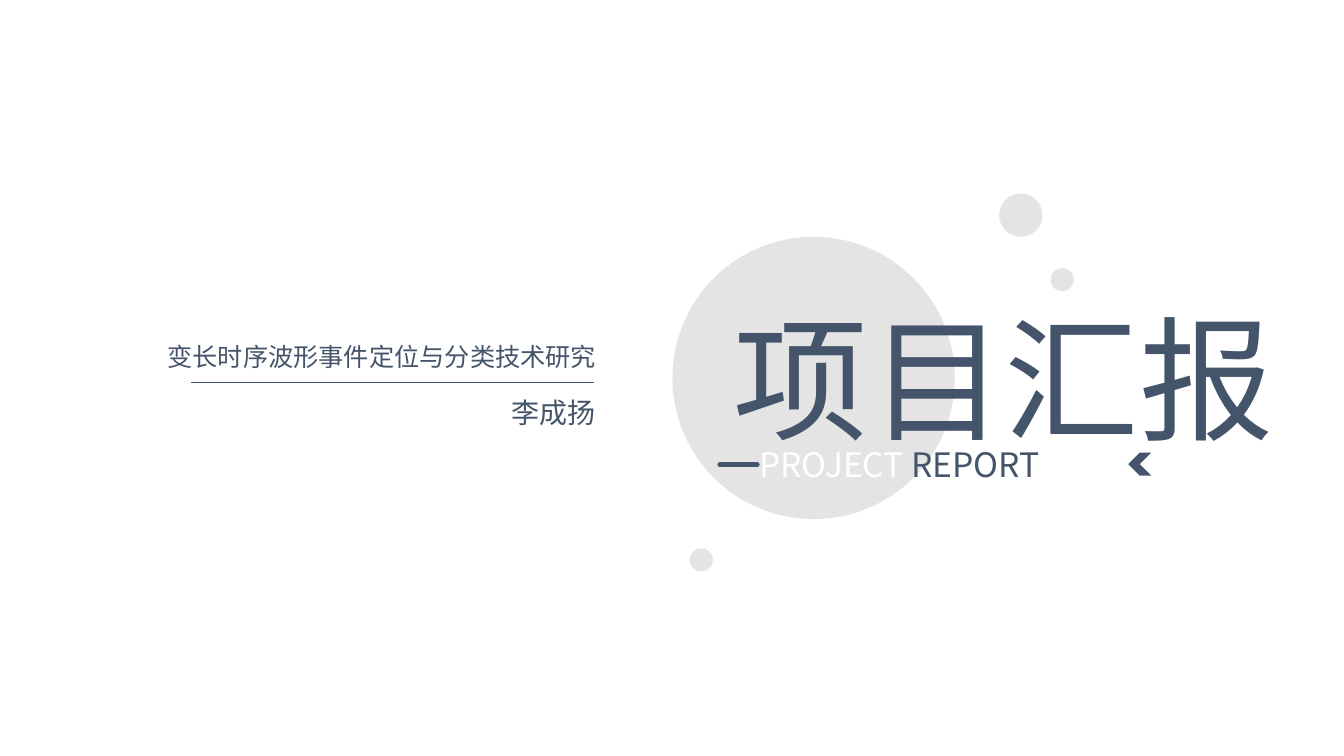
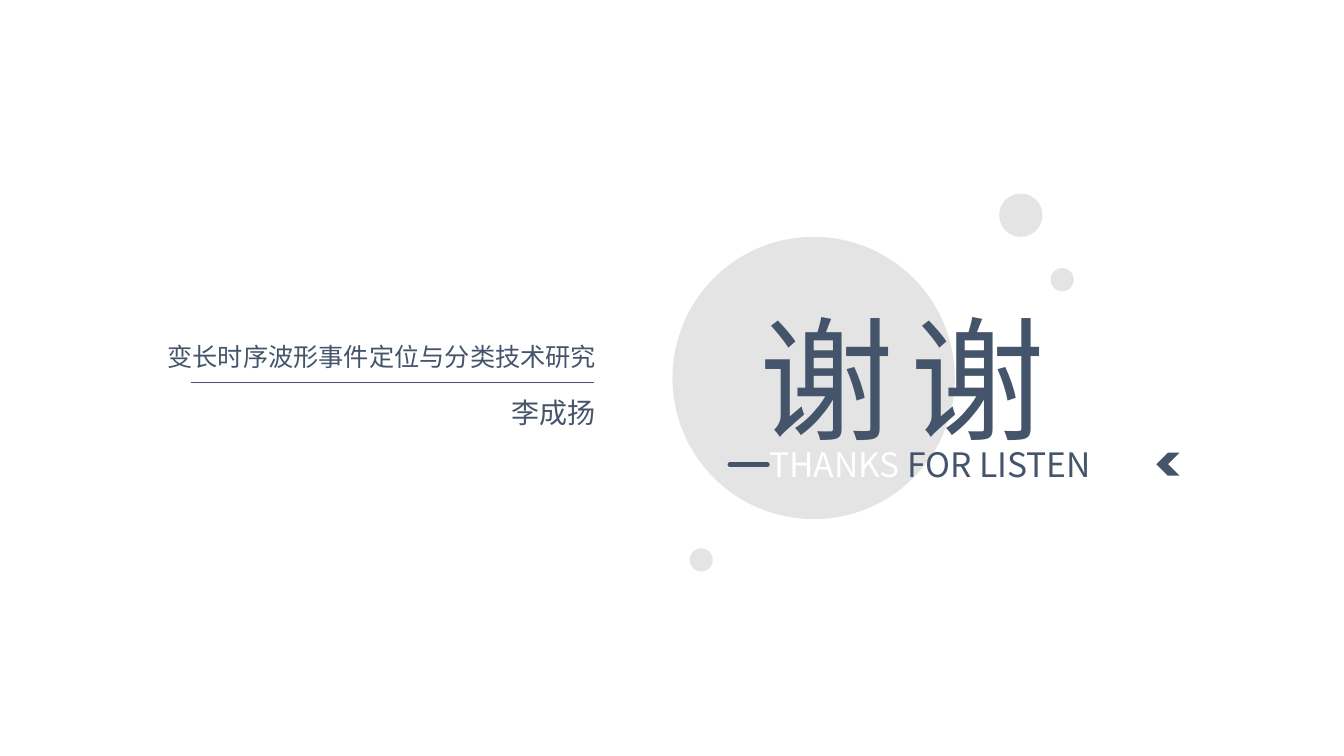
from pptx import Presentation
from pptx.dml.color import RGBColor
from pptx.enum.shapes import MSO_CONNECTOR as Connector, MSO_SHAPE as Shape
from pptx.enum.text import MSO_ANCHOR as Anchor, MSO_AUTO_SIZE as AutoSize, PP_ALIGN as Align
from pptx.oxml.ns import qn
from pptx.util import Inches, Pt
from lxml.etree import SubElement

COLORS = {"ink": "44546A", "circle": "D9D9D9", "white": "FFFFFF"}
FONT = "Noto Sans CJK SC"
SUBJECT = "变长时序波形事件定位与分类技术研究"
AUTHOR = "李成扬"
SMALL = 0.23


def color(name):
    return RGBColor.from_string(COLORS[name])


def place(box, left, top, width, height):
    box.left, box.top = Inches(left), Inches(top)
    box.width, box.height = Inches(width), Inches(height)


def write(box, spans, size, align):
    frame = box.text_frame
    frame.word_wrap = True
    frame.auto_size = AutoSize.NONE
    frame.vertical_anchor = Anchor.TOP
    para = frame.paragraphs[0]
    para.alignment = align
    for text, ink, spacing in spans:
        span = para.add_run()
        span.text = text
        span.font.size = Pt(size)
        span.font.name = FONT
        span.font.color.rgb = color(ink)
        properties = span.font._element
        SubElement(properties, qn("a:ea")).set("typeface", FONT)
        if spacing:
            properties.set("spc", str(spacing * 100))


def add_text(page, area, spans, size, align):
    box = page.shapes.add_textbox(*map(Inches, area))
    write(box, spans, size, align)


def add_solid(page, kind, left, top, size, fill):
    shape = page.shapes.add_shape(kind, *map(Inches, (left, top, size, size)))
    shape.shadow.inherit = False
    shape.fill.solid()
    shape.fill.fore_color.rgb = color(fill)
    shape.line.fill.background()
    return shape


def add_rule(page, left, top, length, weight, cap="flat"):
    rule = page.shapes.add_connector(
        Connector.STRAIGHT, *map(Inches, (left, top, left + length, top)))
    rule.line.color.rgb = color("ink")
    rule.line.width = Pt(weight)
    rule.line._ln.set("cap", cap)
    SubElement(rule._element.spPr, qn("a:effectLst"))


def add_circles(page, left, top):
    for x, y, size in ((0, 0.43, 2.8), (3.24, 0, 0.43),
                       (3.75, 0.74, SMALL), (0.17, 3.52, SMALL)):
        circle = add_solid(page, Shape.FLOWCHART_CONNECTOR, left + x, top + y, size, "circle")
        tint = circle.fill._xPr.find(qn("a:solidFill"))[0]
        SubElement(tint, qn("a:alpha")).set("val", "70000")


def add_byline(page, left, top):
    right = left + 4.49
    add_text(page, (left, top, 4.49, 0.4), [(SUBJECT, "ink", 0)], 18, Align.RIGHT)
    add_rule(page, right - 4.12, top + 0.45, 4, 0.5)
    add_text(page, (right - 3.55, top + 0.53, 3.55, 0.44), [(AUTHOR, "ink", 0)], 20, Align.RIGHT)


def add_heading(page, left, top, title, gap, subtitle, indent, chevron):
    box = page.shapes.title
    page.shapes._spTree.append(box._element)
    place(box, left, top, 5.8, 1.72)
    write(box, [(title[0], "ink", gap), (title[1:], "ink", 0)], 96, Align.LEFT)

    light, dark = subtitle
    start = left + indent
    add_text(page, (start, top + 1.46, 4.01, 0.5),
             [(light, "white", 0), (dark, "ink", 0)], 24, Align.LEFT)
    add_rule(page, start - 0.29, top + 1.72, 0.37, 3.5, "rnd")
    arrow = add_solid(page, Shape.CHEVRON, left + chevron, top + 1.6, SMALL, "ink")
    arrow._element.spPr.xfrm.set("flipH", "1")


def add_cover(deck, **heading):
    page = deck.slides.add_slide(deck.slide_layouts[5])
    add_circles(page, 6.67, 1.92)
    add_byline(page, 1.52, 3.34)
    add_heading(page, top=2.89, **heading)


def main():
    deck = Presentation()
    deck.slide_width, deck.slide_height = Inches(13.33), Inches(7.5)
    add_cover(deck, left=7.17, title="项目汇报", gap=2,
              subtitle=("PROJECT", " REPORT"), indent=0.26, chevron=4.02)
    add_cover(deck, left=7.43, title="谢谢", gap=12,
              subtitle=("THANKS ", "FOR LISTEN"), indent=0.1, chevron=4.04)
    deck.save("out.pptx")


if __name__ == "__main__":
    main()
